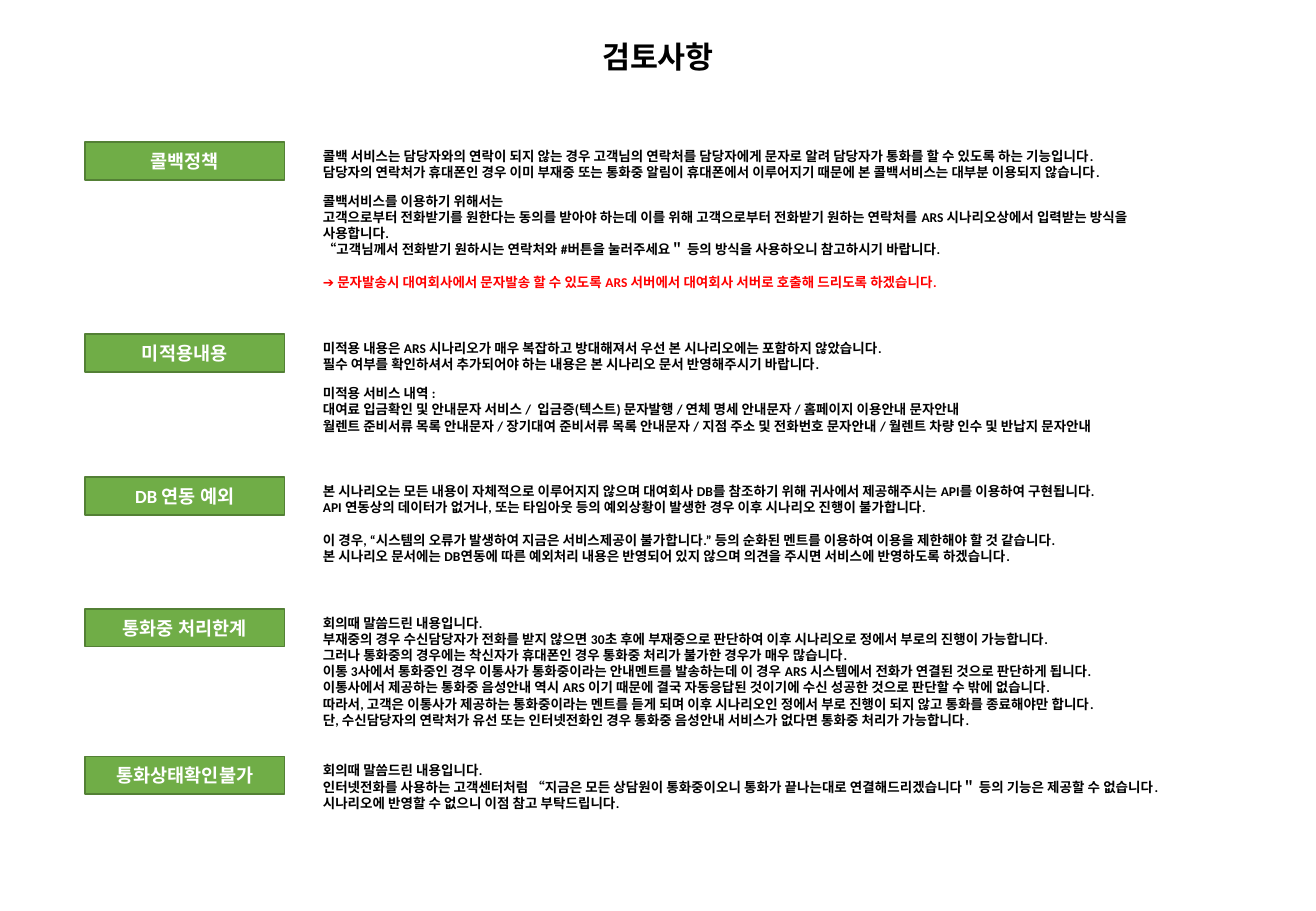
from dataclasses import dataclass

from pptx import Presentation
from pptx.dml.color import RGBColor
from pptx.enum.shapes import MSO_SHAPE as Preset
from pptx.enum.text import MSO_ANCHOR as Anchor, MSO_AUTO_SIZE as AutoSize, PP_ALIGN as Align
from pptx.slide import Slide
from pptx.text.text import _Paragraph as Paragraph
from pptx.util import Cm, Pt


@dataclass(frozen=True)
class Theme:
    font: str = "Calibri"
    ink: RGBColor = RGBColor(0, 0, 0)
    alert: RGBColor = RGBColor(0xFF, 0, 0)
    label_ink: RGBColor = RGBColor(0xFF, 0xFF, 0xFF)
    label_fill: RGBColor = RGBColor(0x70, 0xAD, 0x47)
    label_edge: RGBColor = RGBColor(0x53, 0x80, 0x35)
    title_size: Pt = Pt(18)
    label_size: Pt = Pt(11)
    note_size: Pt = Pt(8)
    note_gap: Pt = Pt(9.6)


@dataclass(frozen=True)
class Line:
    text: str
    gap_before: bool = False
    alert: bool = False


@dataclass(frozen=True)
class Note:
    width: float
    rows: int
    lines: tuple[Line, ...]

    @property
    def height(self) -> float:
        return 0.25 + 0.345 * self.rows


@dataclass(frozen=True)
class Section:
    label: str
    top: float
    notes: tuple[Note, ...]


THEME = Theme()
PAGE_WIDTH, PAGE_HEIGHT = 27.51, 19.05
LABEL_LEFT, LABEL_WIDTH, LABEL_HEIGHT = 1.78, 4.17, 0.79
NOTE_LEFT = 6.5

SECTIONS = (
    Section("콜백정책", 2.97, (
        Note(18.72, 2, (
            Line("콜백 서비스는 담당자와의 연락이 되지 않는 경우 고객님의 연락처를 담당자에게 문자로 알려 "
                 "담당자가 통화를 할 수 있도록 하는 기능입니다."),
            Line("담당자의 연락처가 휴대폰인 경우 이미 부재중 또는 통화중 알림이 휴대폰에서 이루어지기 때문에 "
                 "본 콜백서비스는 대부분 이용되지 않습니다."),
        )),
        Note(18.57, 6, (
            Line("콜백서비스를 이용하기 위해서는"),
            Line("고객으로부터 전화받기를 원한다는 동의를 받아야 하는데 이를 위해 고객으로부터 전화받기 원하는 "
                 "연락처를 ARS 시나리오상에서 입력받는 방식을 사용합니다."),
            Line("“고객님께서 전화받기 원하시는 연락처와 #버튼을 눌러주세요＂ 등의 방식을 사용하오니 "
                 "참고하시기 바랍니다."),
            Line("➔ 문자발송시 대여회사에서 문자발송 할 수 있도록 ARS 서버에서 대여회사 서버로 호출해 "
                 "드리도록 하겠습니다.", gap_before=True, alert=True),
        )),
    )),
    Section("미적용내용", 6.99, (
        Note(16.41, 2, (
            Line("미적용 내용은 ARS 시나리오가 매우 복잡하고 방대해져서 우선 본 시나리오에는 포함하지 않았습니다."),
            Line("필수 여부를 확인하셔서 추가되어야 하는 내용은 본 시나리오 문서 반영해주시기 바랍니다."),
        )),
        Note(18.57, 3, (
            Line("미적용 서비스 내역 :"),
            Line("대여료 입금확인 및 안내문자 서비스 /  입금증(텍스트) 문자발행 / 연체 명세 안내문자 / "
                 "홈페이지 이용안내 문자안내"),
            Line("월렌트 준비서류 목록 안내문자 / 장기대여 준비서류 목록 안내문자 / 지점 주소 및 전화번호 "
                 "문자안내 / 월렌트 차량 인수 및 반납지 문자안내"),
        )),
    )),
    Section("DB 연동 예외", 9.98, (
        Note(18.24, 5, (
            Line("본 시나리오는 모든 내용이 자체적으로 이루어지지 않으며 대여회사 DB를 참조하기 위해 귀사에서 "
                 "제공해주시는 API를 이용하여 구현됩니다."),
            Line("API 연동상의 데이터가 없거나, 또는 타임아웃 등의 예외상황이 발생한 경우 이후 시나리오 "
                 "진행이 불가합니다."),
            Line("이 경우, “시스템의 오류가 발생하여 지금은 서비스제공이 불가합니다.” 등의 순화된 멘트를 "
                 "이용하여 이용을 제한해야 할 것 같습니다.", gap_before=True),
            Line("본 시나리오 문서에는 DB연동에 따른 예외처리 내용은 반영되어 있지 않으며 의견을 주시면 "
                 "서비스에 반영하도록 하겠습니다."),
        )),
    )),
    Section("통화중 처리한계", 12.73, (
        Note(18.24, 7, (
            Line("회의때 말씀드린 내용입니다."),
            Line("부재중의 경우 수신담당자가 전화를 받지 않으면 30초 후에 부재중으로 판단하여 이후 시나리오로 "
                 "정에서 부로의 진행이 가능합니다."),
            Line("그러나 통화중의 경우에는 착신자가 휴대폰인 경우 통화중 처리가 불가한 경우가 매우 많습니다."),
            Line("이통 3사에서 통화중인 경우 이통사가 통화중이라는 안내멘트를 발송하는데 이 경우 ARS "
                 "시스템에서 전화가 연결된 것으로 판단하게 됩니다."),
            Line("이통사에서 제공하는 통화중 음성안내 역시 ARS 이기 때문에 결국 자동응답된 것이기에 수신 "
                 "성공한 것으로 판단할 수 밖에 없습니다."),
            Line("따라서, 고객은 이통사가 제공하는 통화중이라는 멘트를 듣게 되며 이후 시나리오인 정에서 부로 "
                 "진행이 되지 않고 통화를 종료해야만 합니다."),
            Line("단, 수신담당자의 연락처가 유선 또는 인터넷전화인 경우 통화중 음성안내 서비스가 없다면 "
                 "통화중 처리가 가능합니다."),
        )),
    )),
    Section("통화상태확인불가", 15.82, (
        Note(18.24, 3, (
            Line("회의때 말씀드린 내용입니다."),
            Line("인터넷전화를 사용하는 고객센터처럼 “지금은 모든 상담원이 통화중이오니 통화가 끝나는대로 "
                 "연결해드리겠습니다＂ 등의 기능은 제공할 수 없습니다. 시나리오에 반영할 수 없으니 이점 참고 "
                 "부탁드립니다."),
        )),
    )),
)


def style(para: Paragraph, size: Pt, color: RGBColor, align: Align = Align.LEFT) -> None:
    para.alignment = align
    para.font.name = THEME.font
    para.font.size = size
    para.font.bold = True
    para.font.color.rgb = color


def draw_title(page: Slide, text: str) -> None:
    title = page.shapes.title
    title.left, title.top = Cm(0), Cm(0.66)
    title.width, title.height = Cm(PAGE_WIDTH), Cm(1.02)
    frame = title.text_frame
    frame.text = text
    frame.auto_size = AutoSize.NONE
    frame.vertical_anchor = Anchor.MIDDLE
    style(frame.paragraphs[0], THEME.title_size, THEME.ink, Align.CENTER)


def draw_label(page: Slide, section: Section) -> None:
    box = page.shapes.add_shape(Preset.RECTANGLE, Cm(LABEL_LEFT), Cm(section.top),
                                Cm(LABEL_WIDTH), Cm(LABEL_HEIGHT))
    box.shadow.inherit = False
    box.fill.solid()
    box.fill.fore_color.rgb = THEME.label_fill
    box.line.color.rgb = THEME.label_edge
    box.line.width = Pt(1)
    frame = box.text_frame
    frame.text = section.label
    frame.vertical_anchor = Anchor.MIDDLE
    style(frame.paragraphs[0], THEME.label_size, THEME.label_ink, Align.CENTER)


def draw_note(page: Slide, note: Note, top: float) -> None:
    box = page.shapes.add_textbox(Cm(NOTE_LEFT), Cm(top), Cm(note.width), Cm(note.height))
    frame = box.text_frame
    frame.word_wrap = True
    for index, line in enumerate(note.lines):
        para = frame.add_paragraph() if index else frame.paragraphs[0]
        para.text = line.text
        style(para, THEME.note_size, THEME.alert if line.alert else THEME.ink)
        if line.gap_before:
            para.space_before = THEME.note_gap


def draw_section(page: Slide, section: Section) -> None:
    draw_label(page, section)
    top = section.top
    for note in section.notes:
        draw_note(page, note, top)
        top += note.height


deck = Presentation()
deck.slide_width, deck.slide_height = Cm(PAGE_WIDTH), Cm(PAGE_HEIGHT)
page = deck.slides.add_slide(deck.slide_layouts[5])
draw_title(page, "검토사항")
for section in SECTIONS:
    draw_section(page, section)
deck.save("out.pptx")
